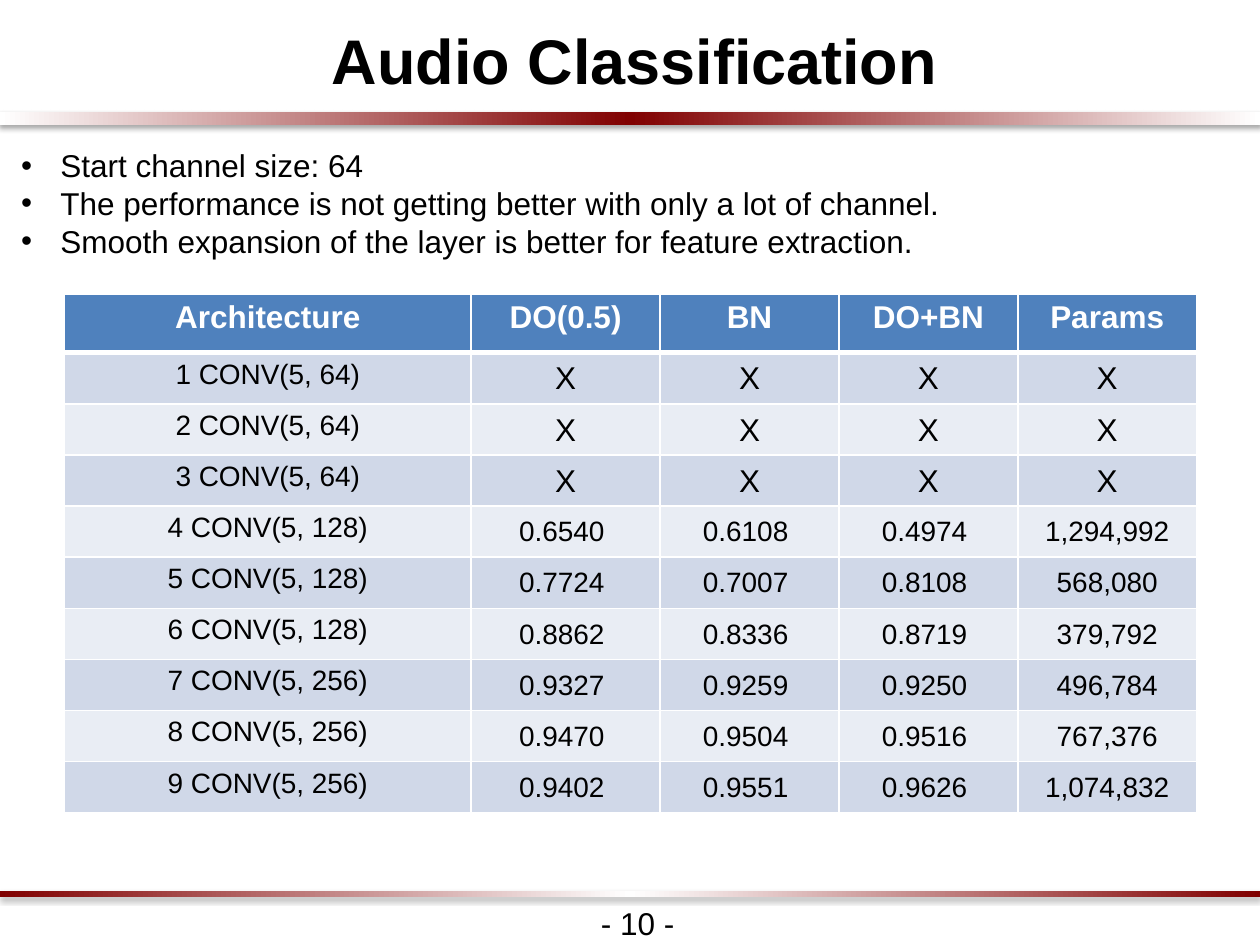
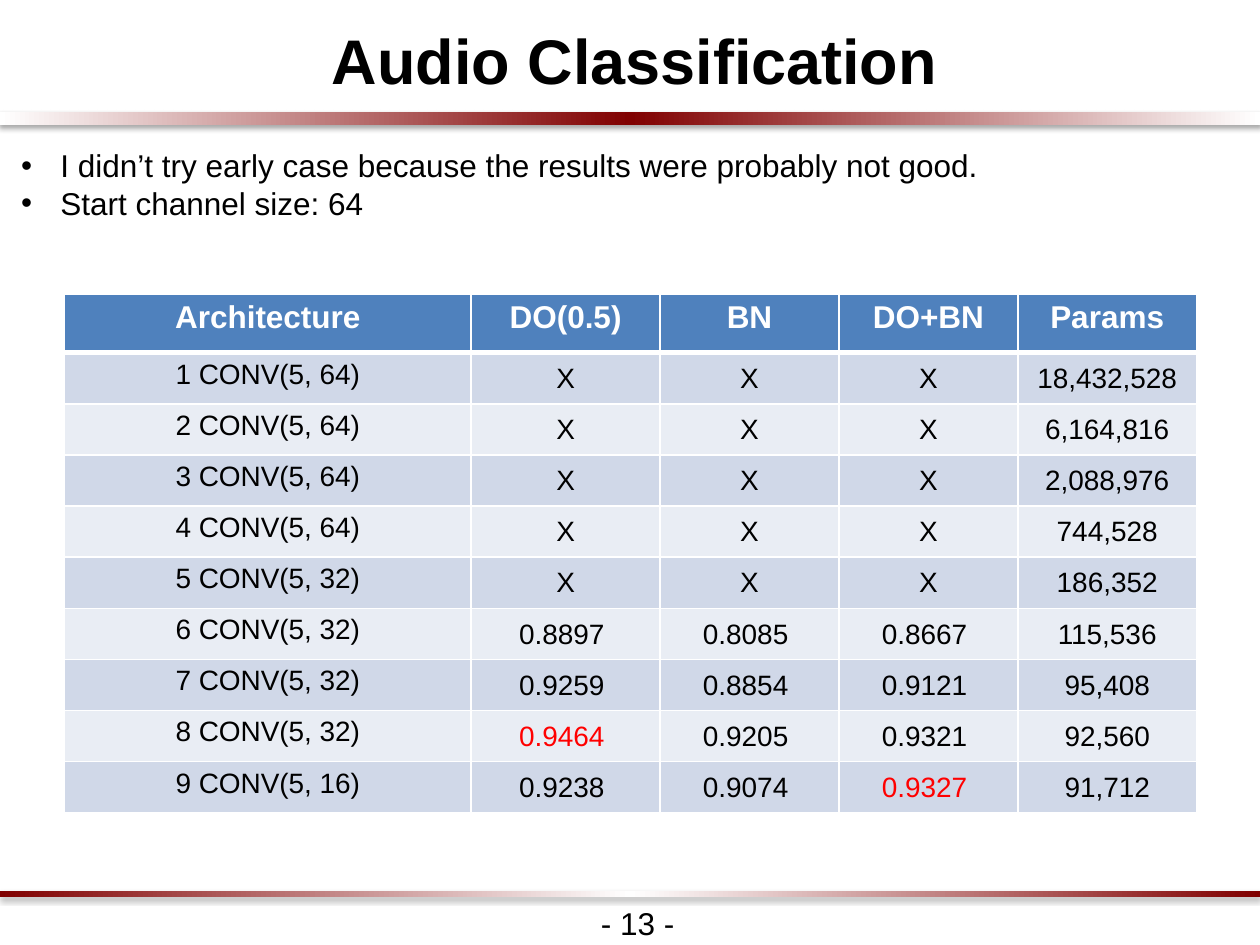
import copy

import lxml.etree
import pptx
import pptx.dml.color
import pptx.enum.shapes
import pptx.enum.text
import pptx.oxml.ns
import pptx.util

Pt = pptx.util.Pt
qn = pptx.oxml.ns.qn
ALIGN = pptx.enum.text.PP_ALIGN
ANCHOR = pptx.enum.text.MSO_ANCHOR

FONT = "Arial"
BLACK, WHITE, RED, MAROON = "000000", "FFFFFF", "FF0000", "800000"
HEADER_BLUE = "4F81BD"
ROW_TINTS = ("D0D8E8", "E9EDF4")

TITLE = "Audio Classification"
HEADINGS = ("Architecture", "DO(0.5)", "BN", "DO+BN", "Params")
COLUMN_WIDTHS = (232.3, 108, 102.2, 102.2, 102.2)
HEADER_HEIGHT, ROW_HEIGHT = 33.6, 29.2

LARGE_CHANNEL_RESULTS = (
    ("1 CONV(5, 64)", "X", "X", "X", "X"),
    ("2 CONV(5, 64)", "X", "X", "X", "X"),
    ("3 CONV(5, 64)", "X", "X", "X", "X"),
    ("4 CONV(5, 128)", "0.6540", "0.6108", "0.4974", "1,294,992"),
    ("5 CONV(5, 128)", "0.7724", "0.7007", "0.8108", "568,080"),
    ("6 CONV(5, 128)", "0.8862", "0.8336", "0.8719", "379,792"),
    ("7 CONV(5, 256)", "0.9327", "0.9259", "0.9250", "496,784"),
    ("8 CONV(5, 256)", "0.9470", "0.9504", "0.9516", "767,376"),
    ("9 CONV(5, 256)", "0.9402", "0.9551", "0.9626", "1,074,832"),
)
SMALL_CHANNEL_RESULTS = (
    ("1 CONV(5, 64)", "X", "X", "X", "18,432,528"),
    ("2 CONV(5, 64)", "X", "X", "X", "6,164,816"),
    ("3 CONV(5, 64)", "X", "X", "X", "2,088,976"),
    ("4 CONV(5, 64)", "X", "X", "X", "744,528"),
    ("5 CONV(5, 32)", "X", "X", "X", "186,352"),
    ("6 CONV(5, 32)", "0.8897", "0.8085", "0.8667", "115,536"),
    ("7 CONV(5, 32)", "0.9259", "0.8854", "0.9121", "95,408"),
    ("8 CONV(5, 32)", "0.9464", "0.9205", "0.9321", "92,560"),
    ("9 CONV(5, 16)", "0.9238", "0.9074", "0.9327", "91,712"),
)


def rgb(color):
    return pptx.dml.color.RGBColor.from_string(color)


def add_xml(parent, tag, **attributes):
    child = lxml.etree.SubElement(parent, qn(tag))
    for name, value in attributes.items():
        child.set(name, str(value))
    return child


def set_margins(target, left, top, right, bottom):
    target.margin_left, target.margin_top = Pt(left), Pt(top)
    target.margin_right, target.margin_bottom = Pt(right), Pt(bottom)


def indent(paragraph, left, first):
    properties = paragraph._p.get_or_add_pPr()
    properties.set("marL", str(Pt(left)))
    properties.set("indent", str(Pt(first)))
    return properties


def set_borders(cell, top, bottom):
    """Draw white cell borders; the side ones are 1 pt wide."""
    properties = cell._tc.get_or_add_tcPr()
    sides = (("a:lnL", 1), ("a:lnR", 1), ("a:lnT", top), ("a:lnB", bottom))
    for index, (tag, width) in enumerate(sides):
        border = add_xml(properties, tag, w=Pt(width))
        add_xml(add_xml(border, "a:solidFill"), "a:srgbClr", val=WHITE)
        properties.insert(index, border)


class Deck:
    """Holds the shared style and the current slide."""

    def __init__(self):
        self.presentation = pptx.Presentation()
        self.presentation.slide_width = Pt(720)
        self.presentation.slide_height = Pt(540)
        self.layout = self.presentation.slide_layouts[5]
        self.slide = None
        for placeholder in list(self.layout.placeholders):
            if placeholder.placeholder_format.idx != 0:
                placeholder.element.getparent().remove(placeholder.element)

    def add_slide(self):
        self.slide = self.presentation.slides.add_slide(self.layout)

    def format(self, text_frame, size, color=BLACK, bold=False):
        for paragraph in text_frame.paragraphs:
            for run in paragraph.runs:
                run.font.name = FONT
                run.font.size = Pt(size)
                run.font.bold = bold
                run.font.color.rgb = rgb(color)

    def add_band(self, top, height, edge, middle):
        band = self.slide.shapes.add_shape(
            pptx.enum.shapes.MSO_SHAPE.RECTANGLE, 0, Pt(top), Pt(720), Pt(height))
        band.line.fill.background()
        band.fill.gradient()
        band.fill.gradient_angle = 0
        stop_list = band.element.spPr.find(".//" + qn("a:gsLst"))
        stop_list.append(copy.deepcopy(stop_list[0]))
        for index, stop in enumerate(band.fill.gradient_stops):
            stop.position = index / 2
            stop.color.rgb = rgb(middle if index == 1 else edge)
        band.shadow.inherit = False
        shadow = add_xml(band.element.spPr.find(qn("a:effectLst")), "a:outerShdw",
                         blurRad=Pt(3.1), dist=Pt(1.8), dir=5400000, rotWithShape=0)
        add_xml(add_xml(shadow, "a:srgbClr", val=BLACK), "a:alpha", val=35000)
        return band

    def share_bands(self):
        """Put the header and footer bands on the layout, behind every slide."""
        bands = (self.add_band(64, 7.2, WHITE, MAROON),
                 self.add_band(509, 3.6, MAROON, WHITE))
        for band in bands:
            self.layout.shapes.element.append(band.element)

    def add_title(self, text):
        title = self.slide.shapes.title
        title.left, title.top = Pt(-16.5), Pt(2.2)
        title.width, title.height = Pt(752.4), Pt(56.9)
        frame = title.text_frame
        frame.text = text
        frame.vertical_anchor = ANCHOR.MIDDLE
        frame.auto_size = pptx.enum.text.MSO_AUTO_SIZE.NONE
        set_margins(frame, 7.2, 7.2, 7.2, 7.2)
        heading = frame.paragraphs[0]
        heading.alignment = ALIGN.CENTER
        heading.line_spacing = 1.15
        indent(heading, 6, 0)
        self.format(frame, 36, bold=True)

    def add_bullets(self, remarks):
        frame = self.slide.shapes.add_textbox(
            Pt(5), Pt(80), Pt(678), Pt(76)).text_frame
        frame.word_wrap = True
        frame.text = "\n".join(remarks)
        for paragraph in frame.paragraphs:
            properties = indent(paragraph, 22.5, -22.5)
            add_xml(add_xml(properties, "a:buClr"), "a:srgbClr", val=BLACK)
            add_xml(properties, "a:buFont", typeface=FONT)
            add_xml(properties, "a:buChar", char="•")
        self.format(frame, 18)

    def add_page_number(self, number):
        frame = self.slide.shapes.add_textbox(
            Pt(336.3), Pt(512.8), Pt(57), Pt(29)).text_frame
        frame.word_wrap = False
        frame.auto_size = pptx.enum.text.MSO_AUTO_SIZE.SHAPE_TO_FIT_TEXT
        frame.text = f"- {number} -"
        self.format(frame, 18)

    def fill_cell(self, cell, text, fill, size, color=BLACK, bold=False):
        cell.text_frame.text = text
        cell.text_frame.paragraphs[0].alignment = ALIGN.CENTER
        self.format(cell.text_frame, size, color, bold)
        cell.fill.solid()
        cell.fill.fore_color.rgb = rgb(fill)

    def add_results(self, results, untried_size, best):
        """Tabulate results; untried_size is for X, scores in best are red."""
        table = self.slide.shapes.add_table(
            len(results) + 1, len(HEADINGS), Pt(36.9), Pt(168), Pt(sum(COLUMN_WIDTHS)),
            Pt(HEADER_HEIGHT + ROW_HEIGHT * len(results))).table
        for column, width in zip(table.columns, COLUMN_WIDTHS):
            column.width = Pt(width)
        for index, row in enumerate(table.rows):
            row.height = Pt(ROW_HEIGHT if index else HEADER_HEIGHT)

        for column, heading in enumerate(HEADINGS):
            cell = table.cell(0, column)
            self.fill_cell(cell, heading, HEADER_BLUE, 18, WHITE, bold=True)
            set_borders(cell, 1, 3)

        for row, result in enumerate(results, start=1):
            for column, value in enumerate(result):
                cell = table.cell(row, column)
                text = value + " " if value.startswith("0.") else value
                self.fill_cell(cell, text, ROW_TINTS[(row - 1) % 2],
                               untried_size if value == "X" else 16,
                               RED if value in best else BLACK)
                if column:
                    cell.vertical_anchor = ANCHOR.MIDDLE
                    set_margins(cell, 0.7, 0.7, 0.7, 0)
                set_borders(cell, 3 if row == 1 else 1, 1)


def main():
    deck = Deck()
    pages = (
        (10, ("Start channel size: 64",
              "The performance is not getting better with only a lot of channel.",
              "Smooth expansion of the layer is better for feature extraction."),
         LARGE_CHANNEL_RESULTS, 18, ()),
        (13, ("I didn’t try early case because the results were probably not good.",
              "Start channel size: 64"),
         SMALL_CHANNEL_RESULTS, 16, ("0.9464", "0.9327")),
    )
    for index, (number, remarks, results, untried_size, best) in enumerate(pages):
        deck.add_slide()
        if index == 0:
            deck.share_bands()
        deck.add_title(TITLE)
        deck.add_bullets(remarks)
        deck.add_page_number(number)
        deck.add_results(results, untried_size, best)
    deck.presentation.save("out.pptx")


if __name__ == "__main__":
    main()
